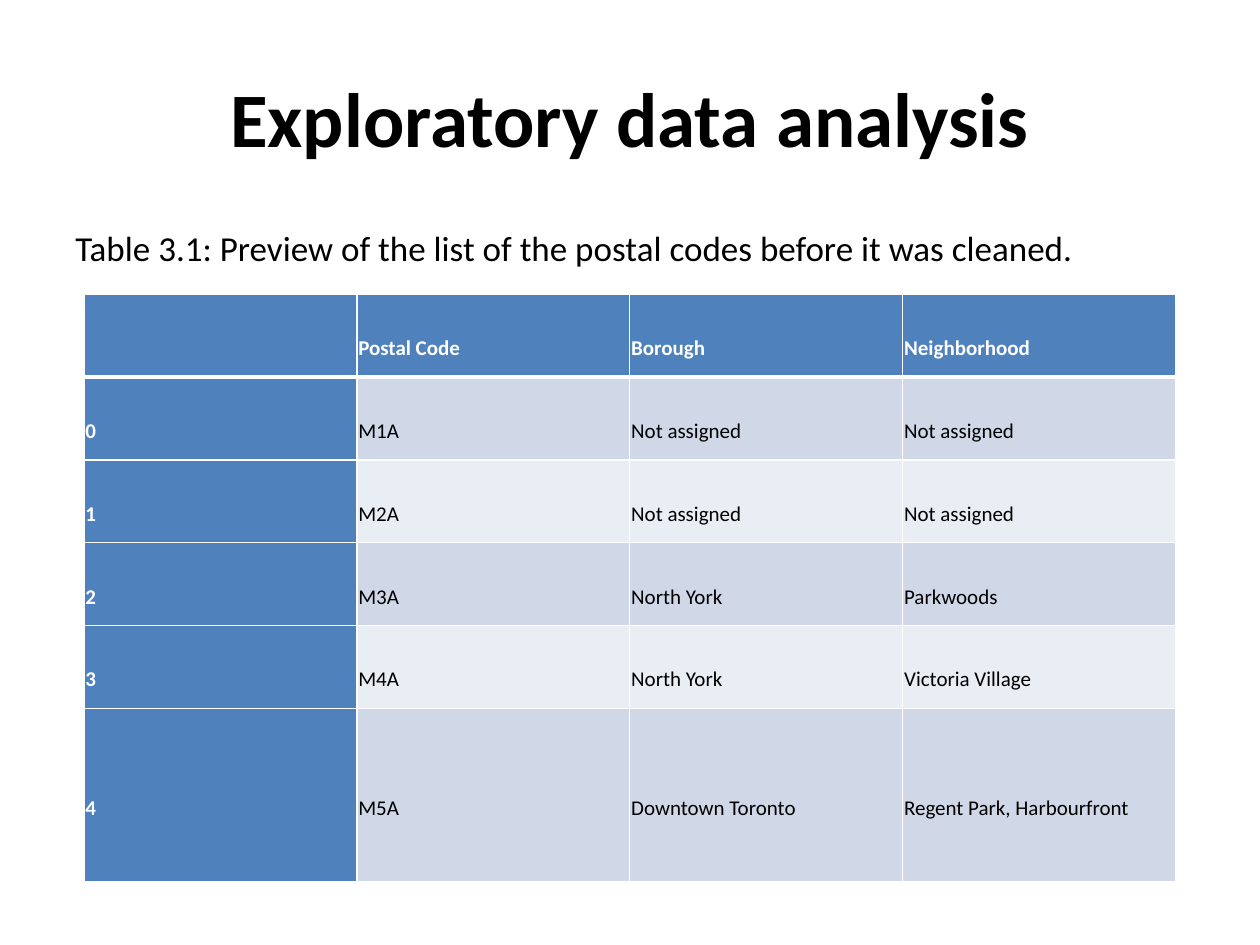
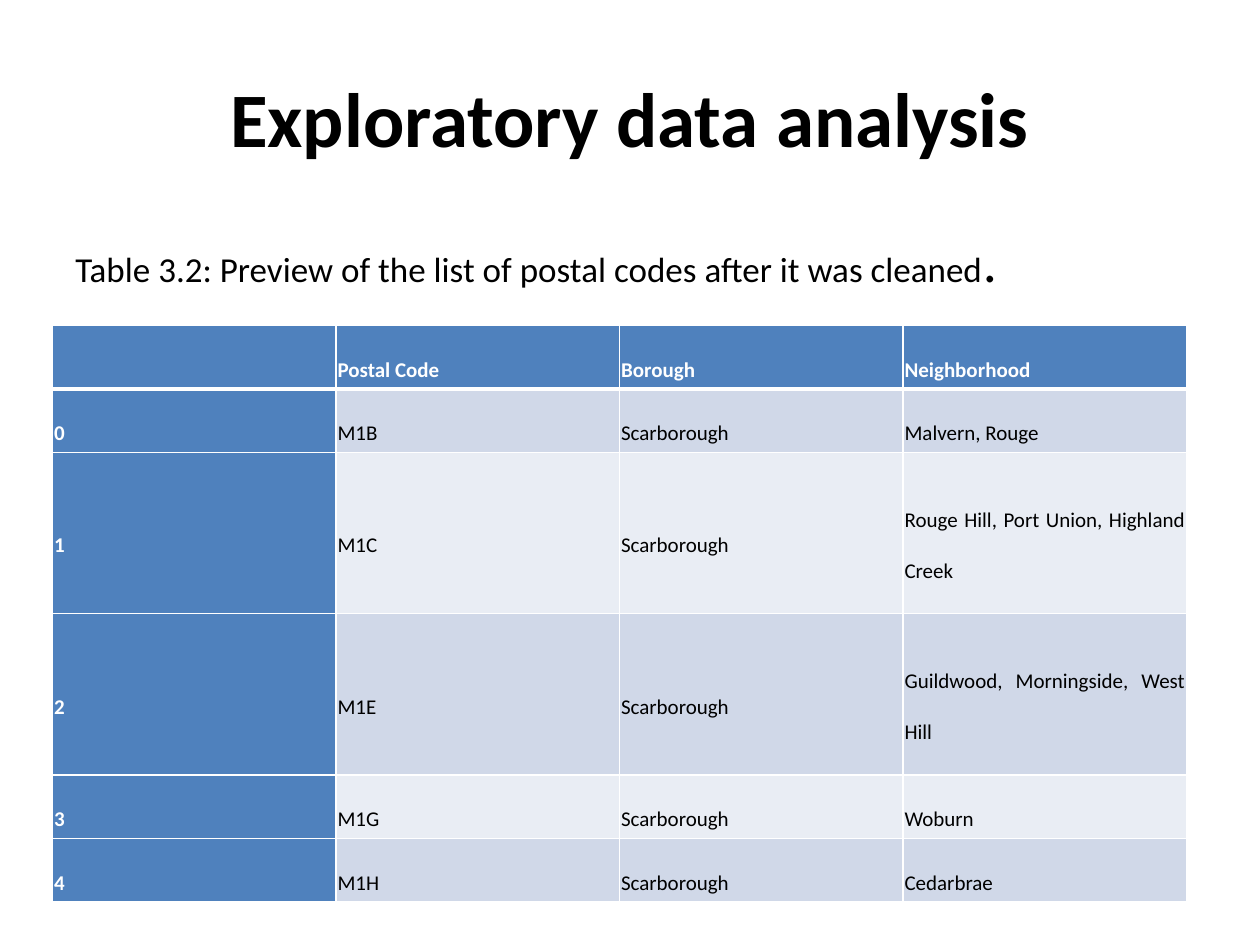
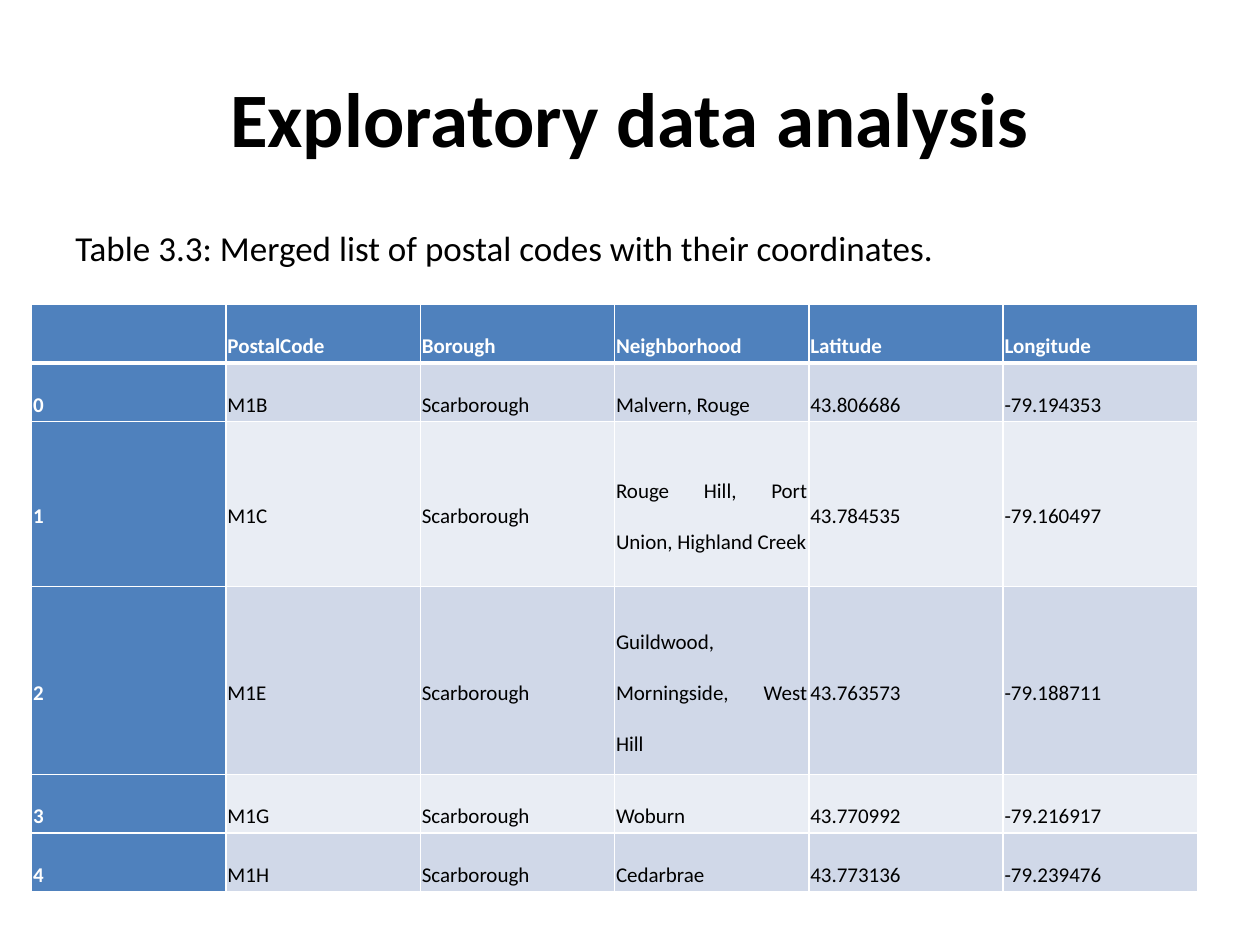
"""Build three slides that preview the postal code tables."""
from lxml import etree
from pptx import Presentation
from pptx.dml.color import RGBColor
from pptx.enum.text import MSO_ANCHOR, PP_ALIGN
from pptx.oxml.ns import qn
from pptx.util import Cm, Pt

MIDDLE, TOP = MSO_ANCHOR.MIDDLE, MSO_ANCHOR.TOP
LEFT, CENTER, JUSTIFY = PP_ALIGN.LEFT, PP_ALIGN.CENTER, PP_ALIGN.JUSTIFY
BLACK = RGBColor(0x00, 0x00, 0x00)
WHITE = RGBColor(0xFF, 0xFF, 0xFF)
BLUE = RGBColor(0x4F, 0x81, 0xBD)
BANDS = (RGBColor(0xD0, 0xD8, 0xE8), RGBColor(0xE9, 0xED, 0xF4))
FONT = "Calibri"
TITLE = "Exploratory data analysis"
TITLE_BOX = (1.27, 0.76, 22.86, 3.18)
CAPTION_BOX = (1.27, 4.45, 22.86, 12.57)
CELL_MARGIN = Cm(0.03)

CLEANED = [
    ("M1B", "Scarborough", "Malvern, Rouge"),
    ("M1C", "Scarborough", "Rouge Hill, Port Union, Highland Creek"),
    ("M1E", "Scarborough", "Guildwood, Morningside, West Hill"),
    ("M1G", "Scarborough", "Woburn"),
    ("M1H", "Scarborough", "Cedarbrae"),
]
COORDINATES = [
    ("43.806686", "-79.194353"),
    ("43.784535", "-79.160497"),
    ("43.763573", "-79.188711"),
    ("43.770992", "-79.216917"),
    ("43.773136", "-79.239476"),
]
SLIDES = [
    {
        "caption": [("Table 3.1: Preview of the list of the postal codes "
                     "before it was cleaned.", 20)],
        "header": ("Postal Code", "Borough", "Neighborhood"),
        "rows": [
            ("M1A", "Not assigned", "Not assigned"),
            ("M2A", "Not assigned", "Not assigned"),
            ("M3A", "North York", "Parkwoods"),
            ("M4A", "North York", "Victoria Village"),
            ("M5A", "Downtown Toronto", "Regent Park, Harbourfront"),
        ],
        "box": (1.69, 5.93, 22.01),
        "heights": (1.67, 1.67, 1.67, 1.67, 1.67, 3.5),
    },
    {
        "caption": [("Table 3.2: Preview of the list of postal codes "
                     "after it was cleaned", 20), (".", 32)],
        "header": ("Postal Code", "Borough", "Neighborhood"),
        "rows": CLEANED,
        "box": (1.06, 6.56, 22.86),
        "heights": (1.28, 1.28, 3.25, 3.25, 1.28, 1.28),
    },
    {
        "caption": [("Table 3.3: Merged list of postal codes "
                     "with their coordinates.", 20)],
        "header": ("PostalCode", "Borough", "Neighborhood",
                   "Latitude", "Longitude"),
        "rows": [a + b for a, b in zip(CLEANED, COORDINATES)],
        "box": (0.64, 6.14, 23.5),
        "heights": (1.18, 1.18, 3.32, 3.79, 1.18, 1.18),
    },
]


def style_run(r, size, color=BLACK, bold=False):
    r.font.name = FONT
    r.font.size = Pt(size)
    r.font.bold = bold
    r.font.color.rgb = color


def add_text(slide, box, runs, anchor, align, bold=False):
    tf = slide.shapes.add_textbox(*map(Cm, box)).text_frame
    tf.word_wrap = True
    tf.vertical_anchor = anchor
    p = tf.paragraphs[0]
    p.alignment = align
    for text, size in runs:
        r = p.add_run()
        r.text = text
        style_run(r, size, bold=bold)


def add_borders(cell, widths):
    tc_pr = cell._tc.get_or_add_tcPr()
    for side, width in zip("LRTB", widths):
        ln = etree.SubElement(tc_pr, qn(f"a:ln{side}"), w=str(Pt(width)))
        fill = etree.SubElement(ln, qn("a:solidFill"))
        etree.SubElement(fill, qn("a:srgbClr"), val=str(WHITE))


def fill_cell(cell, text, row, col):
    heading = row == 0 or col == 0
    add_borders(cell, (1, 1, 3 if row == 1 else 1, 3 if row == 0 else 1))
    cell.fill.solid()
    cell.fill.fore_color.rgb = BLUE if heading else BANDS[(row - 1) % 2]
    if not text:
        return
    cell.vertical_anchor = MIDDLE
    cell.margin_left = cell.margin_right = CELL_MARGIN
    cell.margin_top = cell.margin_bottom = CELL_MARGIN
    p = cell.text_frame.paragraphs[0]
    p.text = text
    p.alignment = JUSTIFY
    p.line_spacing = 2.0
    style_run(p.runs[0], 12, WHITE if heading else BLACK, heading)


def add_data_table(slide, header, rows, box, heights):
    grid = [("", *header)]
    grid += [(str(i), *row) for i, row in enumerate(rows)]
    left, top, width = box
    n_cols = len(grid[0])
    table = slide.shapes.add_table(
        len(grid), n_cols, Cm(left), Cm(top), Cm(width), Cm(sum(heights))
    ).table
    for column in table.columns:
        column.width = Cm(width / n_cols)
    for i, (values, height) in enumerate(zip(grid, heights)):
        table.rows[i].height = Cm(height)
        for j, text in enumerate(values):
            fill_cell(table.cell(i, j), text, i, j)


prs = Presentation()
prs.slide_width, prs.slide_height = Cm(25.4), Cm(19.05)
for content in SLIDES:
    slide = prs.slides.add_slide(prs.slide_layouts[6])
    add_text(slide, TITLE_BOX, [(TITLE, 44)], MIDDLE, CENTER, bold=True)
    add_text(slide, CAPTION_BOX, content["caption"], TOP, LEFT)
    add_data_table(slide, content["header"], content["rows"],
                   content["box"], content["heights"])
prs.save("out.pptx")
